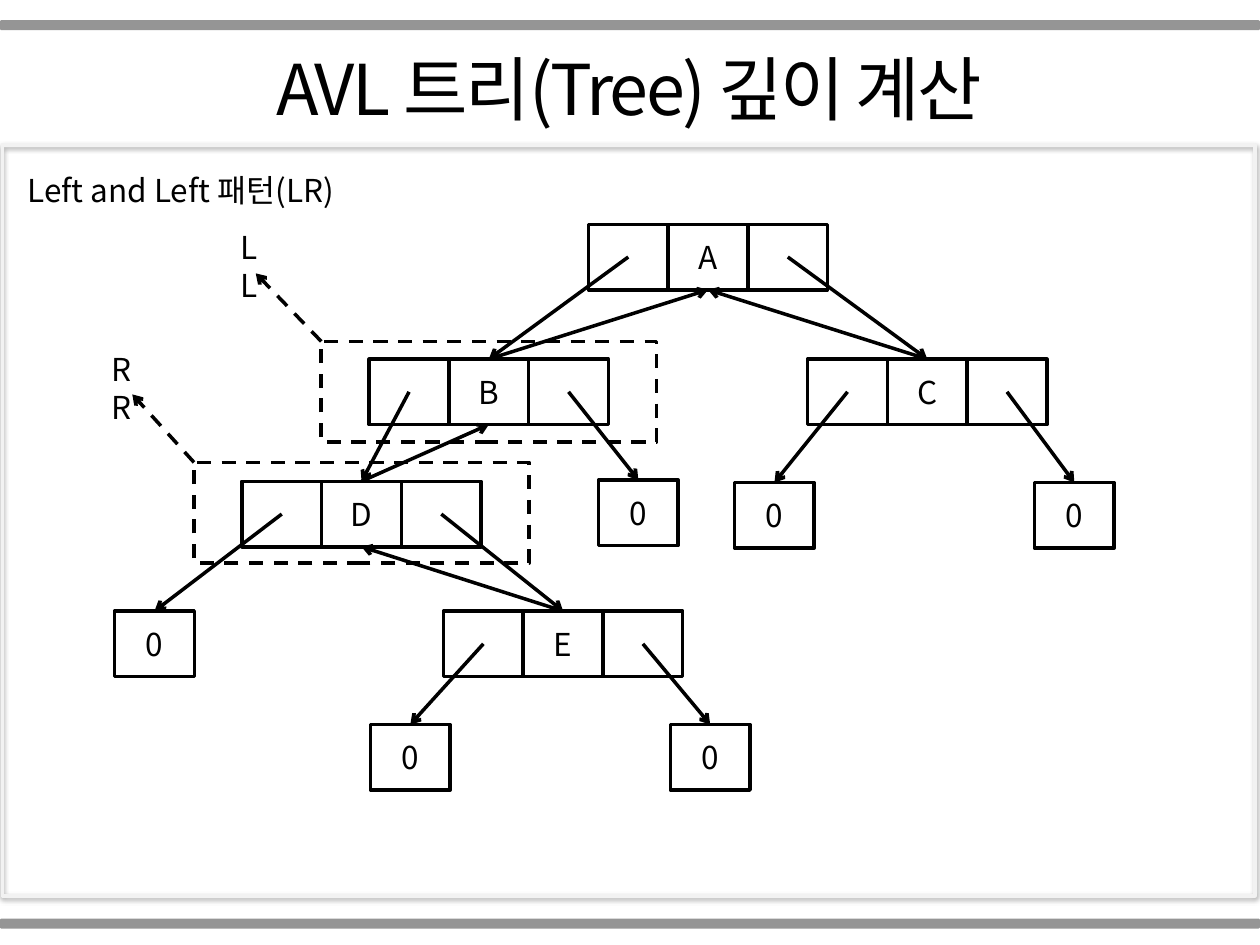
from pptx import Presentation
from pptx.dml.color import RGBColor
from pptx.enum.dml import MSO_LINE
from pptx.enum.shapes import MSO_CONNECTOR, MSO_SHAPE
from pptx.enum.text import MSO_ANCHOR, PP_ALIGN
from pptx.oxml import parse_xml
from pptx.oxml.ns import nsdecls, qn
from pptx.util import Inches, Pt
from lxml.etree import SubElement

COLORS = {"ink": "000000", "paper": "FFFFFF", "bar": "808080", "edge": "F2F2F2"}
RGB = {name: RGBColor.from_string(value) for name, value in COLORS.items()}
FONT = "Noto Sans CJK KR"

deck = Presentation()
deck.slide_width, deck.slide_height = Inches(10), Inches(7.5)
slide = deck.slides.add_slide(deck.slide_layouts[6])
shapes = slide.shapes

# Grid of 100 columns by 75 rows; a node is three cells wide
COL, ROW = deck.slide_width / 100, deck.slide_height / 75
CELL_W, CELL_H = 6.33, 5.2


def write(holder, text, size, align):
    paragraph = holder.text_frame.paragraphs[0]
    paragraph.text = text
    paragraph.alignment = align
    for run in paragraph.runs:
        run.font.size, run.font.name = Pt(size), FONT
        run.font.color.rgb = RGB["ink"]
        SubElement(run.font._element, qn("a:ea")).set("typeface", FONT)


def arrow(start, end):
    link = shapes.add_connector(MSO_CONNECTOR.STRAIGHT, int(start[0] * COL), int(start[1] * ROW),
                                int(end[0] * COL), int(end[1] * ROW))
    link.line.color.rgb, link.line.width = RGB["ink"], Pt(2)
    SubElement(link.line._get_or_add_ln(), qn("a:tailEnd")).set("type", "arrow")
    SubElement(link._element.spPr, qn("a:effectLst"))
    return link


# Grey bars at the top and bottom
for bar_row in (1.6, 72.9):
    bar = shapes.add_shape(MSO_SHAPE.ROUNDED_RECTANGLE, 0, int(bar_row * ROW),
                           deck.slide_width, int(0.8 * ROW))
    bar.shadow.inherit = False
    bar.fill.solid()
    bar.fill.fore_color.rgb = RGB["bar"]
    bar.line.fill.background()
    tint = bar._element.spPr.find(qn("a:solidFill"))[0]
    SubElement(tint, qn("a:alpha")).set("val", "83000")

# Content panel with a soft shadow
panel = shapes.add_shape(MSO_SHAPE.RECTANGLE, int(0.2 * COL), int(11.5 * ROW),
                         int(99.4 * COL), int(59.6 * ROW))
panel.fill.background()
panel.line.color.rgb, panel.line.width = RGB["edge"], Pt(2)
panel._element.spPr.append(parse_xml(
    f'<a:effectLst {nsdecls("a")}><a:outerShdw blurRad="{Pt(3.1)}" dist="{Pt(1.6)}" '
    f'dir="5400000" rotWithShape="0"><a:srgbClr val="{COLORS["ink"]}">'
    '<a:alpha val="38000"/></a:srgbClr></a:outerShdw></a:effectLst>'))

# Title, subtitle and rotation labels
captions = [
    ("AVL 트리(Tree) 깊이 계산", 0.2, 3.1, 99.4, 7.7, 40, PP_ALIGN.CENTER),
    ("Left and Left 패턴(LR)", 1.2, 13.1, 98.8, 4, 18, PP_ALIGN.LEFT),
    ("LL", 18.1, 17.6, 4.4, 7, 18, PP_ALIGN.LEFT),
    ("RR", 7.9, 27.3, 5.1, 7, 18, PP_ALIGN.LEFT),
]
for text, col, row, cols, rows, size, align in captions:
    caption = shapes.add_textbox(int(col * COL), int(row * ROW), int(cols * COL), int(rows * ROW))
    caption.text_frame.word_wrap = True
    write(caption, text, size, align)
    if size == 40:
        for run in caption.text_frame.paragraphs[0].runs:
            run.font._element.set("spc", "-150")

# Tree nodes (left pointer, key, right pointer) and empty children
nodes = {"A": (46.7, 17.8), "B": (29.3, 28.5), "C": (64.1, 28.5),
         "D": (19.2, 38.2), "E": (35.2, 48.5)}
empties = {("D", 0): (9.1, 48.5), ("B", 2): (47.5, 38.1), ("C", 0): (58.3, 38.3),
           ("C", 2): (82.1, 38.3), ("E", 0): (29.4, 57.5), ("E", 2): (53.2, 57.5)}
cells = [((key, slot), col + slot * CELL_W, row, key if slot == 1 else "")
         for key, (col, row) in nodes.items() for slot in (0, 2, 1)]
cells += [(("0", owner), col, row, "0") for owner, (col, row) in empties.items()]
boxes, centers = {}, {}
for name, col, row, label in cells:
    cell = shapes.add_shape(MSO_SHAPE.RECTANGLE, int(col * COL), int(row * ROW),
                            int(CELL_W * COL), int(CELL_H * ROW))
    cell.shadow.inherit = False
    cell.fill.solid()
    cell.fill.fore_color.rgb = RGB["paper"]
    cell.line.color.rgb, cell.line.width = RGB["ink"], Pt(2)
    cell.text_frame.vertical_anchor = MSO_ANCHOR.MIDDLE
    if label:
        write(cell, label, 18, PP_ALIGN.CENTER)
    boxes[name], centers[name] = cell, (col + CELL_W / 2, row + CELL_H / 2)

# Child pointers run from a pointer cell to the top of the child
children = {("A", 0): ("B", 1), ("A", 2): ("C", 1), ("B", 0): ("D", 1), ("D", 2): ("E", 1)}
children.update({owner: ("0", owner) for owner in empties})
for pointer, child in children.items():
    arrow(centers[pointer], centers[child]).end_connect(boxes[child], 0)

# Parent pointers run back from the child's top to the parent's bottom
for child, parent in ("BA", "CA", "DB", "ED"):
    back = arrow(centers[child, 1], centers[parent, 1])
    back.begin_connect(boxes[child, 1], 0)
    back.end_connect(boxes[parent, 1], 2)

# Dashed frames around the rotated nodes, each pointing to its label
for corner, tip in (((15.4, 36.7), (10.5, 31.3)), ((25.5, 27.1), (20.3, 21.7))):
    frame = shapes.add_shape(MSO_SHAPE.RECTANGLE, int(corner[0] * COL), int(corner[1] * ROW),
                             int(26.6 * COL), int(8 * ROW))
    frame.shadow.inherit = False
    frame.fill.background()
    frame.line.color.rgb, frame.line.width = RGB["ink"], Pt(2)
    for dashed in (frame, arrow(corner, tip)):
        dashed.line.dash_style = MSO_LINE.DASH

deck.save("out.pptx")
